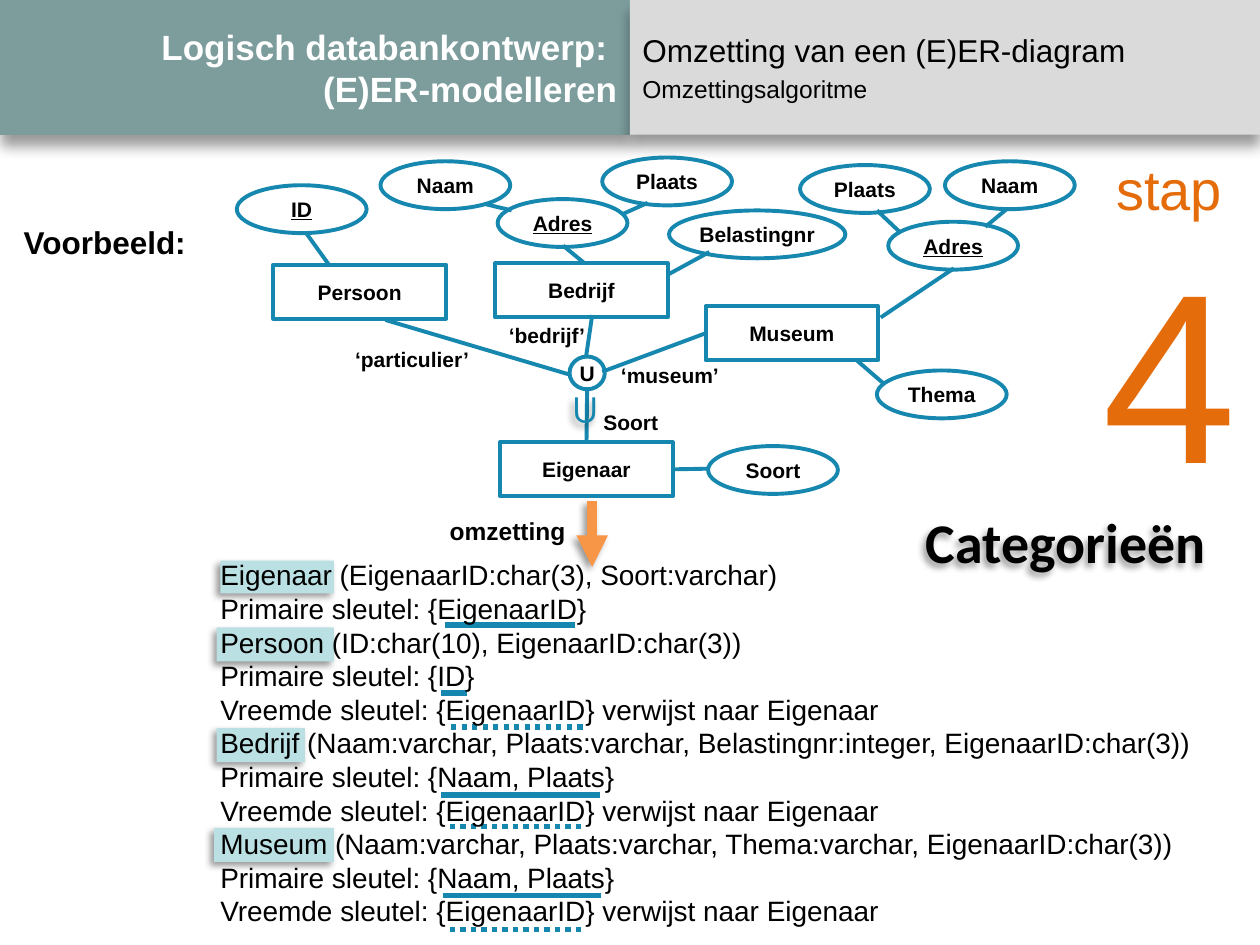
"""Build the slide that maps the categories of an EER diagram to relations."""
from lxml.etree import SubElement
from pptx import Presentation
from pptx.dml.color import RGBColor
from pptx.enum.dml import MSO_LINE
from pptx.enum.shapes import MSO_CONNECTOR, MSO_SHAPE
from pptx.enum.text import MSO_ANCHOR, MSO_AUTO_SIZE, PP_ALIGN
from pptx.oxml.ns import qn
from pptx.util import Inches, Pt

BLACK = RGBColor(0x00, 0x00, 0x00)
WHITE = RGBColor(0xFF, 0xFF, 0xFF)
TEAL = RGBColor(0x7D, 0x9D, 0x9D)
GREY = RGBColor(0xDA, 0xDA, 0xDA)
AQUA = RGBColor(0xBB, 0xE0, 0xE3)
BLUE = RGBColor(0x16, 0x87, 0xAF)
ORANGE = RGBColor(0xE4, 0x6C, 0x0A)
ARROW_ORANGE = RGBColor(0xF7, 0x96, 0x46)
HEADER_SHADOW = (8, 6, 90)
SMALL_SHADOW = (4, 3, 135)


def write(shape, lines, size=12, bold=True, color=BLACK, font="Arial",
          underline=None, align=PP_ALIGN.LEFT, wrap=False, anchor=MSO_ANCHOR.TOP):
    frame = shape.text_frame
    frame.word_wrap = wrap
    frame.vertical_anchor = anchor
    for index, line in enumerate(lines):
        para = frame.paragraphs[0] if index == 0 else frame.add_paragraph()
        para.text = line
        para.alignment = align
        for span in para.runs:
            span.font.name = font
            span.font.size = Pt(size)
            span.font.bold = bold
            span.font.underline = underline
            span.font.color.rgb = color


def set_shadow(shape, shadow=None):
    effects = SubElement(shape._element.spPr, qn("a:effectLst"))
    if shadow:
        blur, distance, angle = shadow
        outer = SubElement(effects, qn("a:outerShdw"), blurRad=str(Pt(blur)),
                           dist=str(Pt(distance)), dir=str(angle * 60000),
                           algn="ctr", rotWithShape="0")
        tint = SubElement(outer, qn("a:srgbClr"), val="000000")
        SubElement(tint, qn("a:alpha"), val="40000")


deck = Presentation()
deck.slide_width, deck.slide_height = Inches(10), Inches(7.5)
page = deck.slides.add_slide(deck.slide_layouts[5])
shapes = page.shapes

title = shapes.title
title.left, title.top = Inches(0), Inches(0)
title.width, title.height = Inches(5), Inches(1.07)
title.fill.solid()
title.fill.fore_color.rgb = TEAL
set_shadow(title, HEADER_SHADOW)
write(title, ["Logisch databankontwerp: \v(E)ER-modelleren"], size=20, color=WHITE,
      align=PP_ALIGN.RIGHT, wrap=True, anchor=MSO_ANCHOR.MIDDLE)
title.text_frame.auto_size = MSO_AUTO_SIZE.NONE

panels = [
    (5, 0, 5, 1.07, GREY, HEADER_SHADOW),
    (1.75, 4.45, 0.9, 0.26, AQUA, SMALL_SHADOW),
    (1.72, 4.98, 0.93, 0.27, AQUA, SMALL_SHADOW),
    (1.72, 5.78, 0.7, 0.27, AQUA, SMALL_SHADOW),
    (1.7, 6.57, 0.95, 0.27, AQUA, SMALL_SHADOW),
]
for left, top, width, height, color, shadow in panels:
    panel = shapes.add_shape(MSO_SHAPE.RECTANGLE, Inches(left), Inches(top),
                             Inches(width), Inches(height))
    panel.fill.solid()
    panel.fill.fore_color.rgb = color
    panel.line.fill.background()
    set_shadow(panel, shadow)
    if color == GREY:
        write(panel, ["Omzetting van een (E)ER-diagram", "Omzettingsalgoritme"],
              size=18, bold=False, wrap=True, anchor=MSO_ANCHOR.MIDDLE)
        subtitle = panel.text_frame.paragraphs[1]
        subtitle.space_before = Pt(3)
        subtitle.runs[0].font.size = Pt(14)

entities = {"Persoon": (2.17, 2.1), "Bedrijf": (3.93, 2.09),
            "Museum": (5.6, 2.43), "Eigenaar": (3.97, 3.51)}
attributes = [
    ("ID", 1.88, 1.47, True), ("Naam", 3.02, 1.28, False),
    ("Adres", 3.95, 1.58, True), ("Plaats", 4.78, 1.25, False),
    ("Belastingnr", 5.31, 1.67, False), ("Plaats", 6.35, 1.31, False),
    ("Naam", 7.5, 1.28, False), ("Adres", 7.05, 1.76, True),
    ("Thema", 6.96, 2.94, False), ("Soort", 5.62, 3.54, False),
]
nodes = [(name, MSO_SHAPE.RECTANGLE, left, top, 1.37, 0.43, False)
         for name, (left, top) in entities.items()]
nodes += [(name, MSO_SHAPE.OVAL, left, top, 1.4 if name == "Belastingnr" else 1.03,
           0.38, key) for name, left, top, key in attributes]
nodes.append(("U", MSO_SHAPE.OVAL, 4.52, 2.83, 0.28, 0.26, False))
boxes = {}
for name, kind, left, top, width, height, key in nodes:
    node = shapes.add_shape(kind, Inches(left), Inches(top), Inches(width), Inches(height))
    node.fill.background()
    node.line.color.rgb = BLUE
    node.line.width = Pt(2.25)
    set_shadow(node)
    write(node, [name], underline=key, align=PP_ALIGN.CENTER, anchor=MSO_ANCHOR.MIDDLE)
    frame = node.text_frame
    frame.margin_left = frame.margin_right = frame.margin_top = frame.margin_bottom = 0
    boxes[name] = node

edges = [
    (2.61, 2.1, 2.43, 1.85), (4.06, 1.67, 3.85, 1.62), (4.64, 2.09, 4.47, 1.95),
    (5.14, 1.61, 4.94, 1.7), (5.3, 2.18, 5.63, 2), (7.15, 1.85, 6.96, 1.67),
    (7.99, 1.66, 7.82, 1.8), (6.99, 2.52, 7.57, 2.13), (7.02, 3.05, 6.8, 2.86),
    (4.65, 2.84, 4.7, 2.5), (4.51, 2.97, 3.06, 2.54),
]
joined_edges = [
    (5.6, 2.67, 4.78, 2.95, "Museum", 1),
    (4.66, 3.5, 4.66, 3.08, "Eigenaar", 0),
    (5.34, 3.73, 5.62, 3.72, "Eigenaar", 3),
]
key_lines = [
    (3.53, 4.96, 4.56, None), (3.5, 5.5, 3.71, None),
    (3.5, 6.31, 4.76, None), (3.52, 7.11, 4.77, None),
    (3.58, 5.77, 4.64, MSO_LINE.ROUND_DOT), (3.57, 6.56, 4.63, MSO_LINE.ROUND_DOT),
    (3.57, 7.38, 4.62, MSO_LINE.ROUND_DOT),
]
lines = [(*edge, 2.25, BLUE, None, None) for edge in edges]
lines += [(*edge[:4], 2.25, BLUE, None, edge[4:]) for edge in joined_edges]
lines += [(left, top, right, top, 3, BLUE, dash, None) for left, top, right, dash in key_lines]
lines.append((4.7, 3.98, 4.7, 4.5, 6, ARROW_ORANGE, None, None))
for x1, y1, x2, y2, weight, color, dash, joint in lines:
    line = shapes.add_connector(MSO_CONNECTOR.STRAIGHT, Inches(x1), Inches(y1),
                                Inches(x2), Inches(y2))
    line.line.color.rgb = color
    line.line.width = Pt(weight)
    if dash:
        line.line.dash_style = dash
    if joint:
        line.begin_connect(boxes[joint[0]], joint[1])
    is_arrow = color == ARROW_ORANGE
    if is_arrow:
        SubElement(line.line._get_or_add_ln(), qn("a:tailEnd"), type="triangle")
    set_shadow(line, SMALL_SHADOW if is_arrow else None)

relations = [
    "Eigenaar (EigenaarID:char(3), Soort:varchar)",
    "Primaire sleutel: {EigenaarID}",
    "Persoon (ID:char(10), EigenaarID:char(3))",
    "Primaire sleutel: {ID}",
    "Vreemde sleutel: {EigenaarID} verwijst naar Eigenaar",
    "Bedrijf (Naam:varchar, Plaats:varchar, Belastingnr:integer, EigenaarID:char(3))",
    "Primaire sleutel: {Naam, Plaats}",
    "Vreemde sleutel: {EigenaarID} verwijst naar Eigenaar",
    "Museum (Naam:varchar, Plaats:varchar, Thema:varchar, EigenaarID:char(3))",
    "Primaire sleutel: {Naam, Plaats}",
    "Vreemde sleutel: {EigenaarID} verwijst naar Eigenaar",
]
texts = [
    (8.63, 1.18, 1.3, 2.96, ["stap", "4"],
     dict(size=32, bold=False, color=ORANGE, align=PP_ALIGN.CENTER)),
    (0.09, 1.72, 1.5, 0.4, ["Voorbeeld:"], dict(size=18)),
    (3.47, 4.05, 1.13, 0.34, ["omzetting"], dict(size=14)),
    (7.25, 3.98, 2.45, 0.64, ["Categorieën"], dict(size=32, font="Calibri")),
    (4.69, 3.2, 0.64, 0.3, ["Soort"], {}),
    (2.72, 2.7, 1.12, 0.3, ["‘particulier’"], {}),
    (3.94, 2.51, 0.82, 0.3, ["‘bedrijf’"], {}),
    (4.83, 2.83, 0.99, 0.3, ["‘museum’"], {}),
    (4.43, 2.98, 0.46, 0.5, ["∪"], dict(size=24, color=BLUE)),
    (1.65, 4.38, 8.35, 3.06, relations, dict(size=16, bold=False, wrap=True)),
]
for left, top, width, height, content, style in texts:
    box = shapes.add_textbox(Inches(left), Inches(top), Inches(width), Inches(height))
    write(box, content, **style)
    box.text_frame.auto_size = MSO_AUTO_SIZE.SHAPE_TO_FIT_TEXT
    if content[0] == "stap":
        box.text_frame.paragraphs[1].runs[0].font.size = Pt(138)
    if content[0] in ("Categorieën", "∪"):
        set_shadow(box, SMALL_SHADOW)

deck.save("out.pptx")
